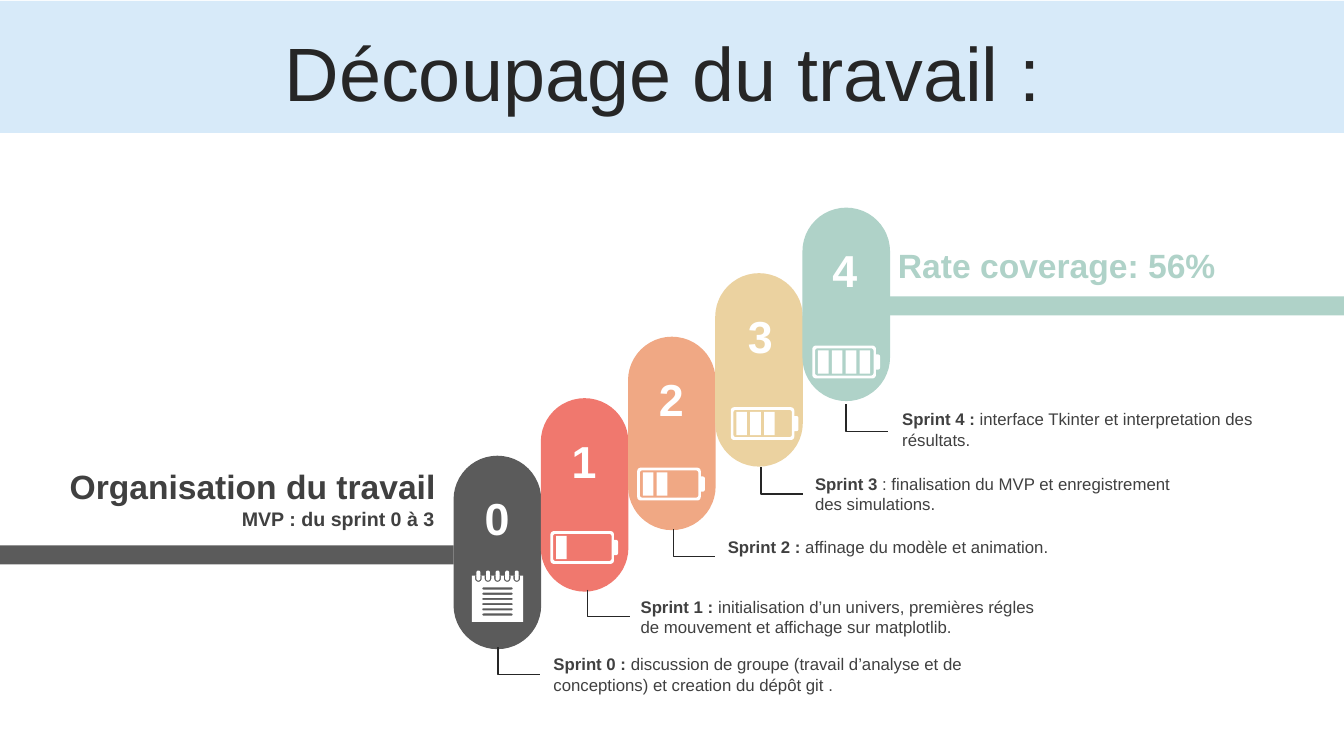
import math
from dataclasses import dataclass

import pptx
import pptx.dml.color
import pptx.enum.shapes
import pptx.enum.text
import pptx.oxml.ns
import pptx.util
from lxml import etree

Pt = pptx.util.Pt
RGB = pptx.dml.color.RGBColor
ALIGN = pptx.enum.text.PP_ALIGN
ANCHOR = pptx.enum.text.MSO_ANCHOR
PRESET = pptx.enum.shapes.MSO_SHAPE

WHITE = RGB(0xFF, 0xFF, 0xFF)
INK = RGB(0x26, 0x26, 0x26)
BODY = RGB(0x40, 0x40, 0x40)
SKY = RGB(0x96, 0xC8, 0xF0)
GREY = RGB(0x5B, 0x5B, 0x5B)
CORAL = RGB(0xF0, 0x78, 0x6E)
ORANGE = RGB(0xF0, 0xA8, 0x84)
SAND = RGB(0xEB, 0xD2, 0xA0)
MINT = RGB(0xAF, 0xD2, 0xC8)

FIRST_PILL_LEFT, PILL_STEP = 324, 62.3
PILL_WIDTH, PILL_HEIGHT = 62.6, 138.2
BAR_HEIGHT = 13.7


@dataclass
class Sprint:
    number: int
    top: float
    color: RGB
    label: str
    task: str
    note_width: float
    note_drop: float
    digit_shift: float
    icon: tuple
    elbow: tuple


SPRINTS = [
    Sprint(0, 325.5, GREY, "Sprint 0 : ",
           "discussion de groupe (travail d’analyse et de conceptions) et creation du dépôt git .",
           370, 138.2, 0, (13, 82), (31.7, 136.8)),
    Sprint(1, 284.4, CORAL, "Sprint 1 : ",
           "initialisation d’un univers, premières régles de mouvement et affichage sur matplotlib.",
           307.5, 138.2, 0, (6.9, 95), (33.5, 136.8)),
    Sprint(2, 240.5, ORANGE, "Sprint 2 : ", "affinage du modèle et animation.",
           269.3, 139, 0, (6.6, 93.6), (32.4, 137.5)),
    Sprint(3, 195.1, SAND, "Sprint 3", " : finalisation du MVP et enregistrement des simulations. ",
           269.3, 139.7, 1.2, (11.1, 95.8), (32.7, 138.3)),
    Sprint(4, 148.3, MINT, "Sprint 4 : ", "interface Tkinter et interpretation des résultats.",
           269.3, 140.4, -0.8, (7.1, 98.6), (31.1, 140.4)),
]


def add_text(slide, box, text, size, color=BODY, bold=False, align=ALIGN.LEFT,
             anchor=ANCHOR.TOP, lead="", line_spacing=None, space_before=None):
    frame = slide.shapes.add_textbox(*map(Pt, box)).text_frame
    frame.word_wrap = True
    frame.vertical_anchor = anchor
    paragraph = frame.paragraphs[0]
    paragraph.alignment = align
    paragraph.line_spacing = line_spacing
    if space_before:
        paragraph.space_before = Pt(space_before)
    for words, weight in ((lead, True), (text, bold)):
        if words:
            run = paragraph.add_run()
            run.text = words
            run.font.name = "Arial"
            run.font.size = Pt(size)
            run.font.bold = weight
            run.font.color.rgb = color


def fill_plain(shape, color):
    shape.shadow.inherit = False
    shape.fill.solid()
    shape.fill.fore_color.rgb = color
    shape.line.fill.background()


def add_block(slide, preset, box, color):
    block = slide.shapes.add_shape(preset, *map(Pt, box))
    fill_plain(block, color)
    return block


def rounded_outline(left, top, width, height, top_left=0, top_right=0, bottom_right=0, bottom_left=0):
    right, bottom = left + width, top + height
    corners = [
        (left + top_left, top + top_left, top_left, 180),
        (right - top_right, top + top_right, top_right, 270),
        (right - bottom_right, bottom - bottom_right, bottom_right, 0),
        (left + bottom_left, bottom - bottom_left, bottom_left, 90),
    ]
    points = []
    for x, y, radius, start in corners:
        for turn in range(0, 91, 15) if radius else [0]:
            angle = math.radians(start + turn)
            points.append((x + radius * math.cos(angle), y + radius * math.sin(angle)))
    return points


def add_outline(slide, left, top, contours, close=True):
    builder = None
    for contour in contours:
        points = [(Pt(left + x), Pt(top + y)) for x, y in contour]
        if builder is None:
            builder = slide.shapes.build_freeform(*points[0], scale=1.0)
        else:
            builder.move_to(*points[0])
        builder.add_line_segments(points[1:], close=close)
    return builder.convert_to_shape()


def add_battery(slide, left, top, charge):
    contours = [
        rounded_outline(0, 0, 45.4, 23.4, *[2.5] * 4),
        rounded_outline(1.9, 1.9, 41.8, 19.5, *[1.8] * 4),
        rounded_outline(45.4, 6.3, 2.9, 10.8, top_right=1.4, bottom_right=1.4),
    ]
    contours += [rounded_outline(4 + 9.9 * cell, 3.4, 7.6, 16.6) for cell in range(charge)]
    fill_plain(add_outline(slide, left, top, contours), WHITE)


def add_notepad(slide, left, top):
    contours = [rounded_outline(0, 3.6, 36.7, 33.1)]
    for ring in range(5):
        center = 4.7 + 6.85 * ring
        contours.append(rounded_outline(center - 2.4, 3.6, 4.8, 4.5, bottom_right=2.4, bottom_left=2.4))
        contours.append(rounded_outline(center - 1.4, 0, 2.8, 7.2, *[1.4] * 4))
    contours += [rounded_outline(7.5, 12 + 3.74 * row, 21.7, 1.6, *[0.8] * 4) for row in range(6)]
    fill_plain(add_outline(slide, left, top, contours), WHITE)


def add_elbow(slide, left, top):
    elbow = add_outline(slide, left, top, [[(0, 0), (0, 19.4), (30, 19.4)]], close=False)
    elbow.shadow.inherit = False
    elbow.fill.background()
    elbow.line.color.rgb = INK
    elbow.line.width = Pt(1)


def add_sprint(slide, sprint, left):
    top = sprint.top
    pill = add_block(slide, PRESET.ROUNDED_RECTANGLE, (left, top, PILL_WIDTH, PILL_HEIGHT), sprint.color)
    pill.adjustments[0] = 0.5
    add_text(slide, (left + sprint.digit_shift, top + 21.4, 62, 46), str(sprint.number), 32,
             color=WHITE, bold=True, align=ALIGN.CENTER, anchor=ANCHOR.MIDDLE)
    icon_left, icon_top = left + sprint.icon[0], top + sprint.icon[1]
    if sprint.number:
        add_battery(slide, icon_left, icon_top, sprint.number)
    else:
        add_notepad(slide, icon_left, icon_top)
    add_elbow(slide, left + sprint.elbow[0], top + sprint.elbow[1])
    add_text(slide, (left + 64.2, top + sprint.note_drop, sprint.note_width, 36),
             sprint.task, 12, lead=sprint.label)


def add_banner(slide, left, top, width, height):
    banner = add_block(slide, PRESET.RECTANGLE, (left, top, width, height), SKY)
    tint = next(banner.fill._xPr.iter(pptx.oxml.ns.qn("a:srgbClr")))
    etree.SubElement(tint, pptx.oxml.ns.qn("a:alpha"), val="38000")
    add_text(slide, (left + 25.2, top + 26, 911.5, 57), "Découpage du travail : ", 54, color=INK,
             align=ALIGN.CENTER, anchor=ANCHOR.MIDDLE, line_spacing=0.9, space_before=10)


def add_organisation(slide, left, top, width):
    add_text(slide, (left + 14.4, top, width - 20.2, 36), "Organisation du travail", 24,
             bold=True, align=ALIGN.RIGHT)
    add_text(slide, (left + 147.6, top + 29.5, width - 154, 24.5), "MVP : du sprint 0 à 3", 14,
             bold=True, align=ALIGN.RIGHT, anchor=ANCHOR.MIDDLE)
    add_block(slide, PRESET.RECTANGLE, (left, top + 60.5, width, BAR_HEIGHT), GREY)


def add_coverage(slide, left, top, width):
    add_text(slide, (left - 0.7, top, 290, 36), "Rate coverage: 56%", 24, color=MINT,
             bold=True, anchor=ANCHOR.MIDDLE)
    add_block(slide, PRESET.RECTANGLE, (left, top + 40.3, width, BAR_HEIGHT), MINT)


def main():
    deck = pptx.Presentation()
    deck.slide_width, deck.slide_height = Pt(960), Pt(540)
    slide = deck.slides.add_slide(deck.slide_layouts[6])
    add_banner(slide, 0, 0.7, 960, 94.3)
    for sprint in SPRINTS:
        add_sprint(slide, sprint, FIRST_PILL_LEFT + PILL_STEP * sprint.number)
    add_organisation(slide, 0, 329, 324)
    add_coverage(slide, 635, 171.4, 325)
    deck.save("out.pptx")


if __name__ == "__main__":
    main()
